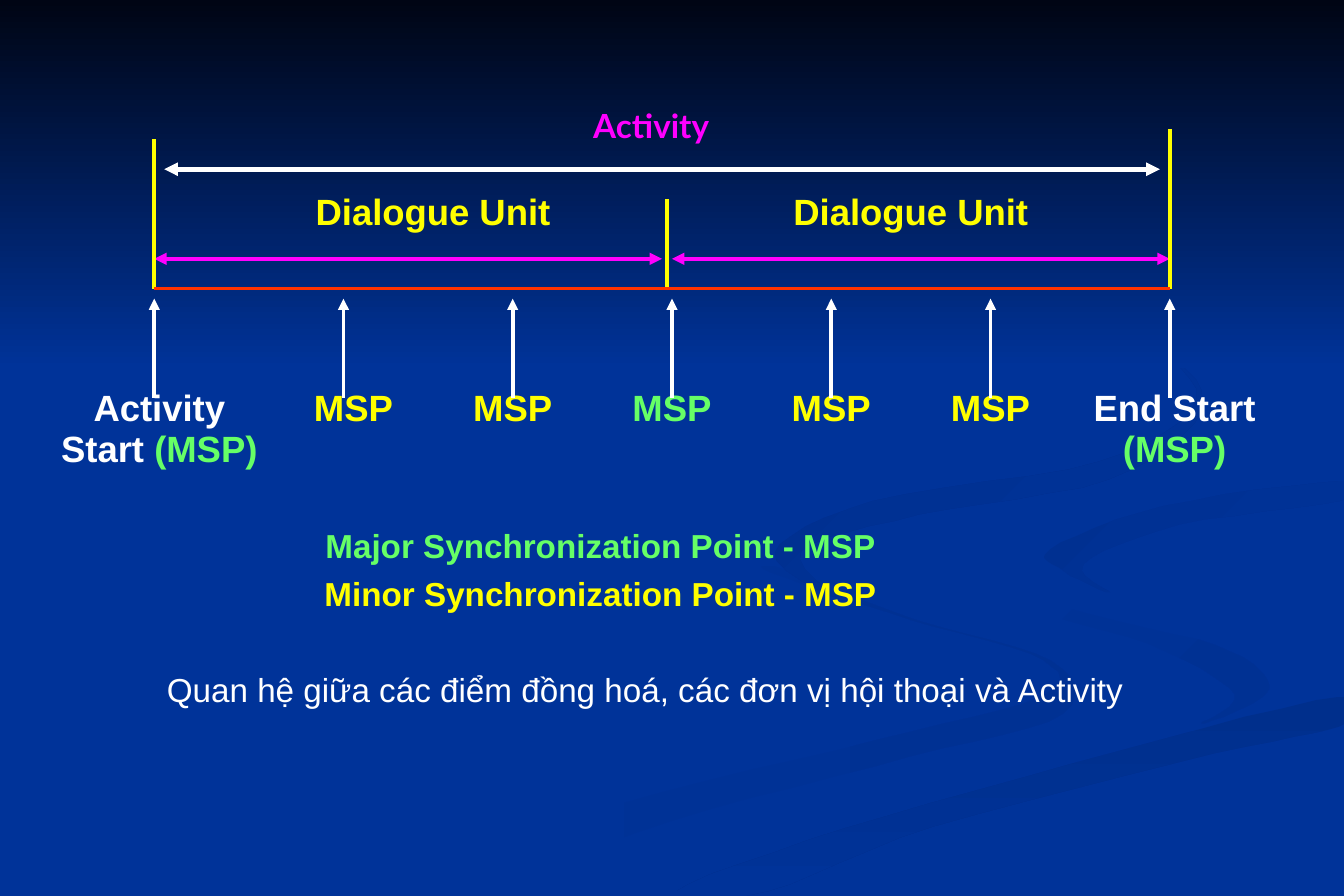
from pptx import Presentation
from pptx.dml.color import RGBColor
from pptx.enum.shapes import MSO_CONNECTOR, MSO_SHAPE
from pptx.enum.text import PP_ALIGN
from pptx.oxml.ns import qn
from pptx.util import Pt
from lxml.etree import SubElement

WHITE, YELLOW, GREEN = "FFFFFF", "FFFF00", "66FF66"
MAGENTA, RED, BLUE, NIGHT = "FF00FF", "FF3300", "003399", "000514"
NO_STYLE = "{2D5ABB26-0587-4C30-8999-92F81FD0307C}"

RIBBONS = [
    (BLUE, "003193", 0, [
        (633, 398), (553, 374), (472, 343), (467, 346), (550, 374), (629, 398), (627, 420),
        (528, 446), (372, 485), (243, 535), (292, 535), (404, 495), (548, 456), (641, 430)]),
    (BLUE, "003193", 45, [
        (764, 410), (733, 389), (642, 366), (587, 334), (612, 364), (692, 388), (744, 418),
        (724, 436), (755, 424)]),
    ("002F8C", BLUE, 90, [
        (408, 537), (463, 537), (563, 498), (732, 454), (807, 438), (807, 420), (673, 453),
        (510, 499)]),
    ("003091", BLUE, 45, [
        (633, 331), (641, 344), (669, 357), (653, 340), (711, 316), (807, 302), (807, 290),
        (701, 305)]),
    ("002F8E", BLUE, 45, [
        (554, 310), (668, 289), (724, 248), (700, 210), (618, 168), (685, 201), (721, 241),
        (663, 278), (526, 302), (467, 333), (504, 360), (483, 332)]),
]


def rgb(color):
    """Return the colour of a hex string."""
    return RGBColor.from_string(color)


def smooth(knots, steps=6):
    """Return points along a closed spline through the knots."""
    points = []
    for i in range(len(knots)):
        quad = [knots[(i + k) % len(knots)] for k in (-1, 0, 1, 2)]
        for t in (step / steps for step in range(steps)):
            points.append(tuple(
                b + t * (c - a + t * (2 * a - 5 * b + 4 * c - d + t * (3 * b - a - 3 * c + d))) / 2
                for a, b, c, d in zip(*quad)))
    return points


def fill_gradient(sp, start, end, angle):
    """Give a shape a gradient without line or shadow."""
    sp.shadow.inherit = False
    sp.line.fill.background()
    sp.fill.gradient()
    sp.fill.gradient_angle = (360 - angle) % 360
    for stop, color in zip(sp.fill.gradient_stops, (start, end)):
        stop.color.rgb = rgb(color)


def add_backdrop(slide, x, y, w):
    """Draw the blue ground, its ribbons and the dark band at the top."""
    slide.background.fill.solid()
    slide.background.fill.fore_color.rgb = rgb(BLUE)
    for start, end, angle, knots in RIBBONS:
        points = smooth(knots)
        builder = slide.shapes.build_freeform(*points[0], scale=Pt(1))
        builder.add_line_segments(points[1:], close=True)
        fill_gradient(builder.convert_to_shape(Pt(x), Pt(y)), start, end, angle)
    band = slide.shapes.add_shape(MSO_SHAPE.RECTANGLE, Pt(x), Pt(y), Pt(w), Pt(222))
    fill_gradient(band, NIGHT, BLUE, 90)


def add_text(slide, x, y, w, h, lines, font="Arial", bold=True, wrap=False):
    """Place centred lines of 20 pt text, given as (text, colour), in a box."""
    tf = slide.shapes.add_textbox(Pt(x), Pt(y), Pt(w), Pt(h)).text_frame
    tf.word_wrap = wrap
    for i, (text, color) in enumerate(lines):
        p = tf.add_paragraph() if i else tf.paragraphs[0]
        p.text = text
        p.alignment = PP_ALIGN.CENTER
        if i:
            p.space_before = Pt(5)
        p.font.name, p.font.size, p.font.bold = font, Pt(20), bold
        p.font.color.rgb = rgb(color)


def fill_cell(cell, runs):
    """Write centred bold runs, given as (text, colour), low in a cell."""
    cell.margin_top = Pt(62)
    p = cell.text_frame.paragraphs[0]
    p.alignment = PP_ALIGN.CENTER
    p.font.name, p.font.size, p.font.bold = "Arial", Pt(22), True
    for text, color in runs:
        r = p.add_run()
        r.text = text
        r.font.color.rgb = rgb(color)


def add_labels(slide, x, y):
    """Place the table of dialogue units and synchronization points."""
    widths, heights = [138] + [96] * 5 + [126], [118, 127]
    frame = slide.shapes.add_table(2, 7, Pt(x), Pt(y), Pt(sum(widths)), Pt(sum(heights)))
    table = frame.table
    table.first_row = table.horz_banding = False
    table._tbl.tblPr.find(qn("a:tableStyleId")).text = NO_STYLE
    for column, width in zip(table.columns, widths):
        column.width = Pt(width)
    for row, height in zip(table.rows, heights):
        row.height = Pt(height)
    for cell in table.iter_cells():
        cell.fill.background()
    for col in (1, 4):
        table.cell(0, col).merge(table.cell(0, col + 1))
        fill_cell(table.cell(0, col), [("Dialogue Unit", YELLOW)])
    minor, major = [("MSP", YELLOW)], [("MSP", GREEN)]
    start = [("Activity Start ", WHITE), ("(MSP)", GREEN)]
    end = [("End Start ", WHITE), ("(MSP)", GREEN)]
    for col, runs in enumerate([start, minor, minor, major, minor, minor, end]):
        fill_cell(table.cell(1, col), runs)


def add_line(slide, x1, y1, x2, y2, color, width, heads=()):
    """Draw a straight line with triangles at the named ends."""
    line = slide.shapes.add_connector(MSO_CONNECTOR.STRAIGHT, Pt(x1), Pt(y1), Pt(x2), Pt(y2))
    line.line.color.rgb = rgb(color)
    line.line.width = Pt(width)
    for end in heads:
        SubElement(line.line._get_or_add_ln(), qn("a:" + end), type="triangle")
    SubElement(line._element.spPr, qn("a:effectLst"))


def add_timeline(slide, x, y, w):
    """Draw the axis from x, y over width w with its markers and spans."""
    both = ("headEnd", "tailEnd")
    right = x + w
    for offset in (0, 114, 216, 312, 408, 504, w):
        add_line(slide, x + offset, y + 6, x + offset, y + 66, WHITE, 2.25, ("headEnd",))
    for left, end in ((x, x + 306), (x + 312, right)):
        add_line(slide, left, y - 18, end, y - 18, MAGENTA, 2.5, both)
    for offset, height in ((0, 90), (309, 54), (w, 96)):
        add_line(slide, x + offset, y - height, x + offset, y, YELLOW, 2.5)
    add_line(slide, x + 6, y - 72, right - 6, y - 72, WHITE, 2.75, both)
    add_line(slide, x, y, right, y, RED, 2)


def main():
    """Build the slide and save it."""
    prs = Presentation()
    prs.slide_width, prs.slide_height = Pt(810), Pt(540)
    slide = prs.slides.add_slide(prs.slide_layouts[6])
    add_backdrop(slide, 0, 0, 810)
    add_text(slide, 171, 313, 382, 60, [
        ("Major Synchronization Point - MSP", GREEN),
        ("Minor Synchronization Point - MSP", YELLOW)], wrap=True)
    add_labels(slide, 27, 54)
    add_timeline(slide, 93, 174, 612)
    add_text(slide, 333, 60, 119, 32, [("Activity", MAGENTA)], font="Lato")
    add_text(slide, 91, 400, 596, 32, [
        ("Quan hệ giữa các điểm đồng hoá, các đơn vị hội thoại và Activity", WHITE)], bold=False)
    prs.save("out.pptx")


if __name__ == "__main__":
    main()
